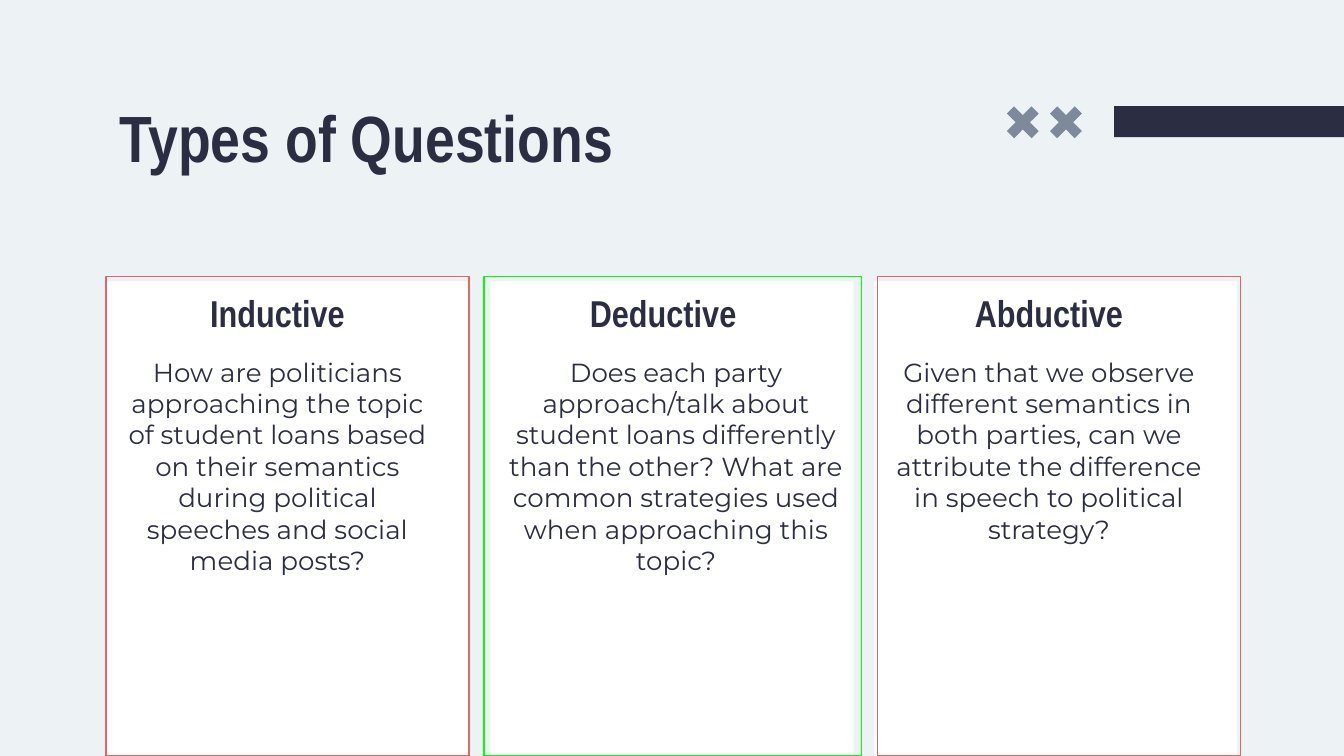
from pptx import Presentation
from pptx.dml.color import RGBColor
from pptx.enum.shapes import MSO_SHAPE
from pptx.enum.text import MSO_ANCHOR, MSO_AUTO_SIZE, PP_ALIGN
from pptx.util import Pt

COLORS = {
    "background": "EDF2F4",
    "panel": "FFFFFF",
    "ink": "2B2D42",
    "cross": "7E899C",
    "red": "E06666",
    "green": "00FF00",
}
TITLE = {"name": "Arial Narrow", "size": Pt(35), "bold": True}
HEADING = {"name": "Arial Narrow", "size": Pt(20), "bold": True}
BODY = {"name": "Montserrat", "size": Pt(14), "bold": False}
FRAME_FORMAT = {
    "word_wrap": True,
    "auto_size": MSO_AUTO_SIZE.NONE,
    "vertical_anchor": MSO_ANCHOR.TOP,
    "margin_left": Pt(7.2),
    "margin_right": Pt(7.2),
    "margin_top": Pt(7.2),
    "margin_bottom": Pt(7.2),
}

CARD_TOP, CARD_HEIGHT = 148.3, 256.7
PANEL_LEFT, PANEL_PITCH, PANEL_WIDTH = 57.2, 205.6, 194.4
HEADING_WIDTH, HEADING_HEIGHT = 139, 35.3
CARDS = [
    {
        "heading": "Inductive",
        "body": "How are politicians approaching the topic of student loans based on "
                "their semantics during political speeches and social media posts?",
        "line": "red", "left": 56.9, "width": 194.4,
        "heading_left": 79.2, "body_left": 56.9, "body_width": 183.6,
    },
    {
        "heading": "Deductive",
        "body": "Does each party approach/talk about student loans differently than the "
                "other? What are common strategies used when approaching this topic?",
        "line": "green", "left": 259.2, "width": 202.3,
        "heading_left": 285.8, "body_left": 265, "body_width": 194.4,
    },
    {
        "heading": "Abductive",
        "body": "Given that we observe different semantics in both parties, can we "
                "attribute the difference in speech to political strategy?",
        "line": "red", "left": 470.2, "width": 194.4,
        "heading_left": 492.5, "body_left": 470.2, "body_width": 183.6,
    },
]


def color(name):
    return RGBColor.from_string(COLORS[name])


def set_attributes(target, values):
    for name, value in values.items():
        setattr(target, name, value)


def write(sp, text, font, align):
    tf = sp.text_frame
    set_attributes(tf, FRAME_FORMAT)
    p = tf.paragraphs[0]
    set_attributes(p, {"alignment": align, "line_spacing": 1.0, "space_before": Pt(0)})
    r = p.add_run()
    r.text = text
    set_attributes(r.font, font)
    r.font.color.rgb = color("ink")


def add_shape(s, kind, box, fill=None, line=None):
    sp = s.shapes.add_shape(kind, *map(Pt, box))
    sp.shadow.inherit = False
    if fill:
        sp.fill.solid()
        sp.fill.fore_color.rgb = color(fill)
    else:
        sp.fill.background()
    if line:
        sp.line.color.rgb = color(line)
        sp.line.width = Pt(0.75)
    else:
        sp.line.fill.background()
    return sp


def add_text(s, box, text, font):
    sp = s.shapes.add_textbox(*map(Pt, box))
    write(sp, text, font, PP_ALIGN.CENTER)


def add_title(s, box, text):
    sp = s.shapes.title
    set_attributes(sp, dict(zip(("left", "top", "width", "height"), map(Pt, box))))
    write(sp, text, TITLE, PP_ALIGN.LEFT)


def add_ornament(s, box):
    left, top, width, height = box
    size, pitch, bar_left = 18.7, 23.1, 58.3
    for i in range(2):
        cross = add_shape(s, MSO_SHAPE.CROSS, (left + i * pitch, top, size, size), "cross")
        cross.adjustments[0] = 0.356
        cross.rotation = 45
    bar = (left + bar_left, top + 0.7, width - bar_left, height)
    add_shape(s, MSO_SHAPE.RECTANGLE, bar, "ink")


def add_card(s, box, panel_left, card):
    left, top, width, height = box
    panel = (panel_left, top + 2.5, PANEL_WIDTH, height - 2.5)
    add_shape(s, MSO_SHAPE.RECTANGLE, panel, "panel")
    add_shape(s, MSO_SHAPE.RECTANGLE, box, line=card["line"])
    heading_box = (card["heading_left"], top, HEADING_WIDTH, HEADING_HEIGHT)
    add_text(s, heading_box, card["heading"], HEADING)
    body_box = (card["body_left"], top + HEADING_HEIGHT, card["body_width"], 60.5)
    add_text(s, body_box, card["body"], BODY)


def main():
    prs = Presentation()
    prs.slide_width, prs.slide_height = Pt(720), Pt(405)
    s = prs.slides.add_slide(prs.slide_layouts[5])
    s.background.fill.solid()
    s.background.fill.fore_color.rgb = color("background")
    add_ornament(s, (538.6, 56.2, 181.4, 16.6))
    add_title(s, (56.9, 44.6, 320.4, 44.6), "Types of Questions")
    for i, card in enumerate(CARDS):
        box = (card["left"], CARD_TOP, card["width"], CARD_HEIGHT)
        add_card(s, box, PANEL_LEFT + i * PANEL_PITCH, card)
    prs.save("out.pptx")


if __name__ == "__main__":
    main()
